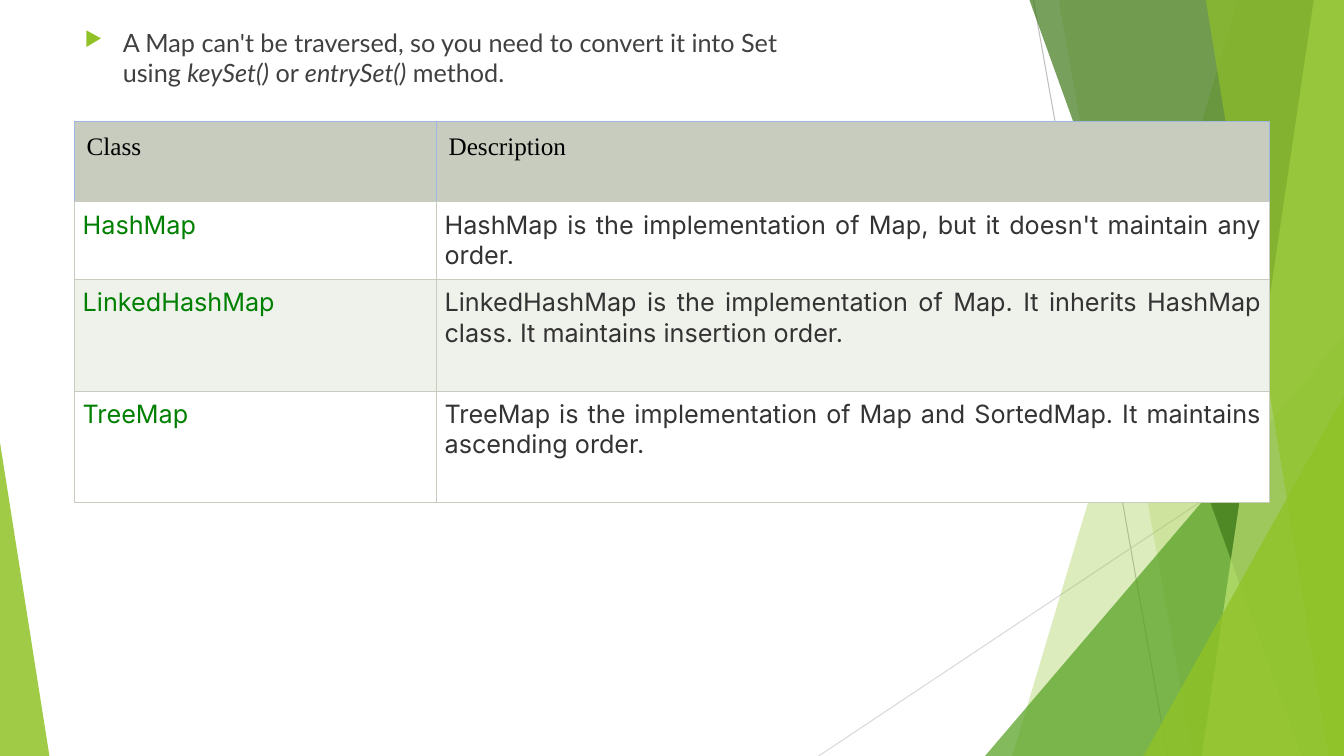
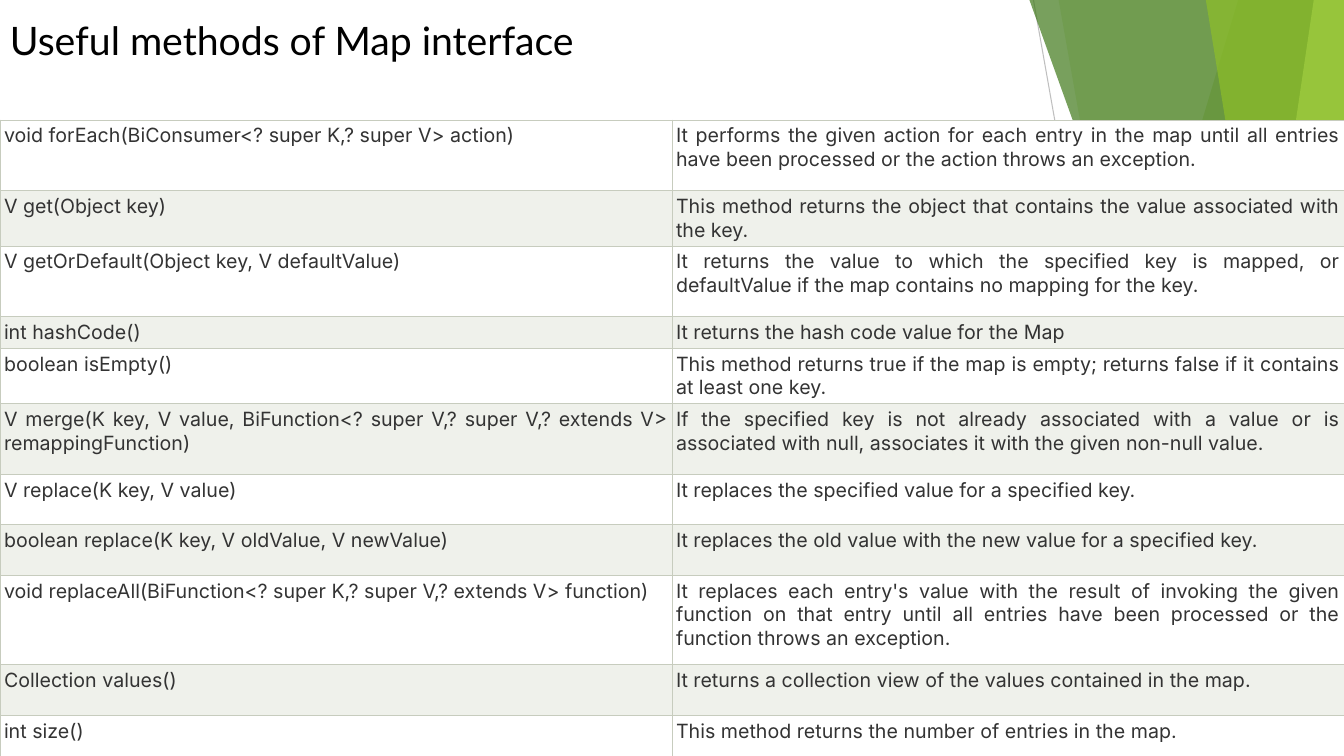
import dataclasses
import lxml.etree
import pptx
import pptx.dml.color
import pptx.enum.shapes
import pptx.enum.text
import pptx.oxml.ns
import pptx.util

# Grid: one column or row is one inch
COLS, ROWS = 13.33, 7.5
PAGE = (0, 0, COLS, ROWS)


@dataclasses.dataclass(frozen=True)
class Theme:
    lime: str = "90C226"
    pale: str = "C0E474"
    leaf: str = "54A021"
    pine: str = "3F7819"
    ash: str = "BFBFBF"
    mist: str = "D9D9D9"
    edge: str = "C7CCBE"
    blue: str = "A0B7E3"
    white: str = "FFFFFF"
    band: str = "EFF1EB"
    black: str = "000000"
    ink: str = "333333"
    soft: str = "404040"
    green: str = "008000"
    head: str = "Lato"
    body: str = "Inter"
    serif: str = "Times New Roman"
    big: int = 28
    mid: int = 18
    small: int = 14
    thin: float = 0.75


T = Theme()


def unit(n):
    return pptx.util.Inches(n)


def rgb(code):
    return pptx.dml.color.RGBColor.from_string(code)


def add(parent, tag, **attrs):
    node = lxml.etree.SubElement(parent, pptx.oxml.ns.qn(tag))
    for key, val in attrs.items():
        node.set(key, str(val))
    return node


# Text
def write(frame, text, size=T.mid, font=T.body, color=T.ink,
          align=None, bullet=None, indent=0.38):
    """Write text in a frame; parts between asterisks are italic."""
    frame.word_wrap = True
    para = frame.paragraphs[0]
    if align:
        para.alignment = align
    if bullet:
        props = para._p.get_or_add_pPr()
        props.set("marL", str(unit(indent)))
        props.set("indent", str(-unit(indent)))
        add(add(props, "a:buClr"), "a:srgbClr", val=T.lime)
        add(props, "a:buSzPct", val=80000)
        add(props, "a:buChar", char=bullet)
    for i, part in enumerate(text.split("*")):
        run = para.add_run()
        run.text = part
        run.font.size = pptx.util.Pt(size)
        run.font.name = font
        run.font.color.rgb = rgb(color)
        if i % 2:
            run.font.italic = True


def label(slide, box, text, right=0.1, **style):
    frame = slide.shapes.add_textbox(*map(unit, box)).text_frame
    frame.margin_right = unit(right)
    write(frame, text, **style)


# Backdrop
def tint(shape, color, alpha):
    shape.shadow.inherit = False
    shape.fill.solid()
    shape.fill.fore_color.rgb = rgb(color)
    for node in shape.element.spPr.iter(pptx.oxml.ns.qn("a:srgbClr")):
        add(node, "a:alpha", val=alpha * 1000)
    shape.line.fill.background()


def rule(slide, start, end, color):
    kind = pptx.enum.shapes.MSO_CONNECTOR.STRAIGHT
    line = slide.shapes.add_connector(kind, *map(unit, start + end))
    line.line.color.rgb = rgb(color)
    line.line.width = pptx.util.Pt(T.thin)
    add(line.element.spPr, "a:effectLst")


def facet(slide, box, top, foot, color, alpha):
    """Fill from a slanted left side to the right side of the box."""
    x, y, w, h = box
    pts = [(x + top, y), (x + w, y), (x + w, y + h), (x + foot, y + h)]
    pts = [(unit(a), unit(b)) for a, b in pts]
    form = slide.shapes.build_freeform(*pts[0])
    form.add_line_segments(pts[1:], close=True)
    tint(form.convert_to_shape(), color, alpha)


def corner(slide, box, wide, tall, color, alpha, peak=1):
    """Stand a right triangle in a lower corner of the box."""
    x, y, w, h = box
    left = x + (w - wide) * peak
    kind = pptx.enum.shapes.MSO_SHAPE.ISOSCELES_TRIANGLE
    shape = slide.shapes.add_shape(
        kind, *map(unit, (left, y + h - tall, wide, tall)))
    shape.adjustments[0] = peak
    tint(shape, color, alpha)


def backdrop(slide, box):
    x, y, w, h = box
    rule(slide, (x + 10.25, y), (x + 11.58, y + h), T.ash)
    rule(slide, (x + w, y + 4.03), (x + 8.12, y + h), T.mist)
    facet(slide, box, 12.28, 10.04, T.lime, 30)
    facet(slide, box, 10.5, 11.83, T.lime, 20)
    corner(slide, box, 3.56, 4.17, T.leaf, 72)
    facet(slide, box, 10.21, 12.91, T.pine, 70)
    facet(slide, box, 13.03, 11.92, T.pale, 70)
    facet(slide, box, 11.96, 13.18, T.lime, 65)
    corner(slide, box, 1.99, 3.57, T.lime, 80)
    corner(slide, box, 0.49, 3.11, T.lime, 85, peak=0)


# Tables
def dress(cell, fill, inset, edges):
    """Set borders (left, right, top, bottom), fill and insets."""
    props = cell._tc.get_or_add_tcPr()
    for side, color in zip("LRTB", edges):
        line = add(props, "a:ln" + side, w=pptx.util.Pt(T.thin))
        add(add(line, "a:solidFill"), "a:srgbClr", val=color)
    cell.fill.solid()
    cell.fill.fore_color.rgb = rgb(fill)
    cell.margin_left = cell.margin_right = unit(inset)
    cell.margin_top = cell.margin_bottom = unit(inset)


def grid(slide, box, rows, highs, wides, inset, size, key=T.ink, head=None):
    """Draw a banded table, with an optional header row."""
    data = ([head] if head else []) + rows
    table = slide.shapes.add_table(
        len(data), len(wides), *map(unit, box)).table
    table.first_row = bool(head)
    table.horz_banding = False
    for col, wide in zip(table.columns, wides):
        col.width = unit(wide)
    for r, texts in enumerate(data):
        table.rows[r].height = unit(highs[r])
        top = texts is head
        odd = (r - bool(head)) % 2
        for c, text in enumerate(texts):
            cell = table.cell(r, c)
            if top:
                dress(cell, T.edge, 0.12, [T.blue] * 3 + [T.edge])
                write(cell.text_frame, text, size=size, font=T.serif,
                      color=T.black)
            else:
                dress(cell, T.band if odd else T.white, inset, [T.edge] * 4)
                write(cell.text_frame, text, size=size,
                      color=T.ink if c else key,
                      align=pptx.enum.text.PP_ALIGN.JUSTIFY)


KINDS = [
    ("HashMap", "HashMap is the implementation of Map, but it doesn't "
     "maintain any order."),
    ("LinkedHashMap", "LinkedHashMap is the implementation of Map. It "
     "inherits HashMap class. It maintains insertion order."),
    ("TreeMap", "TreeMap is the implementation of Map and SortedMap. It "
     "maintains ascending order."),
]

CALLS = [
    ("void forEach(BiConsumer<? super K,? super V> action)",
     "It performs the given action for each entry in the map until all "
     "entries have been processed or the action throws an exception."),
    ("V get(Object key)",
     "This method returns the object that contains the value associated "
     "with the key."),
    ("V getOrDefault(Object key, V defaultValue)",
     "It returns the value to which the specified key is mapped, or "
     "defaultValue if the map contains no mapping for the key."),
    ("int hashCode()", "It returns the hash code value for the Map"),
    ("boolean isEmpty()",
     "This method returns true if the map is empty; returns false if it "
     "contains at least one key."),
    ("V merge(K key, V value, BiFunction<? super V,? super V,? extends V> "
     "remappingFunction)",
     "If the specified key is not already associated with a value or is "
     "associated with null, associates it with the given non-null value."),
    ("V replace(K key, V value)",
     "It replaces the specified value for a specified key."),
    ("boolean replace(K key, V oldValue, V newValue)",
     "It replaces the old value with the new value for a specified key."),
    ("void replaceAll(BiFunction<? super K,? super V,? extends V> function)",
     "It replaces each entry's value with the result of invoking the given "
     "function on that entry until all entries have been processed or the "
     "function throws an exception."),
    ("Collection values()",
     "It returns a collection view of the values contained in the map."),
    ("int size()", "This method returns the number of entries in the map."),
]


# Slides
def classes(slide, box):
    x, y, w, h = box
    left = x + 0.74
    label(slide, (left, y + 0.22, 9.4, 0.86),
          "A Map can't be traversed, so you need to convert it into Set "
          "using *keySet()* or *entrySet()* method.",
          right=2.1, font=T.head, color=T.soft, bullet="▶")
    grid(slide, (left, y + 1.2, 11.85, 3.7), KINDS,
         [0.8, 0.77, 1.11, 1.11], [3.59, 8.26], 0.08, T.mid,
         key=T.green, head=("Class", "Description"))


def methods(slide, box):
    x, y, w, h = box
    highs = [0.7, 0.5, 0.7, 0.31, 0.5, 0.7, 0.5, 0.5, 0.89, 0.5, 0.5]
    grid(slide, (x, y + 1.19, w, sum(highs)), CALLS, highs,
         [w / 2] * 2, 0.04, T.small)
    label(slide, (x, y + 0.11, 8.08, 0.57), "Useful methods of Map interface",
          size=T.big, font=T.head, color=T.black)


def main():
    deck = pptx.Presentation()
    deck.slide_width, deck.slide_height = unit(COLS), unit(ROWS)
    for build in (classes, methods):
        slide = deck.slides.add_slide(deck.slide_layouts[6])
        backdrop(slide, PAGE)
        build(slide, PAGE)
    deck.save("out.pptx")


if __name__ == "__main__":
    main()
